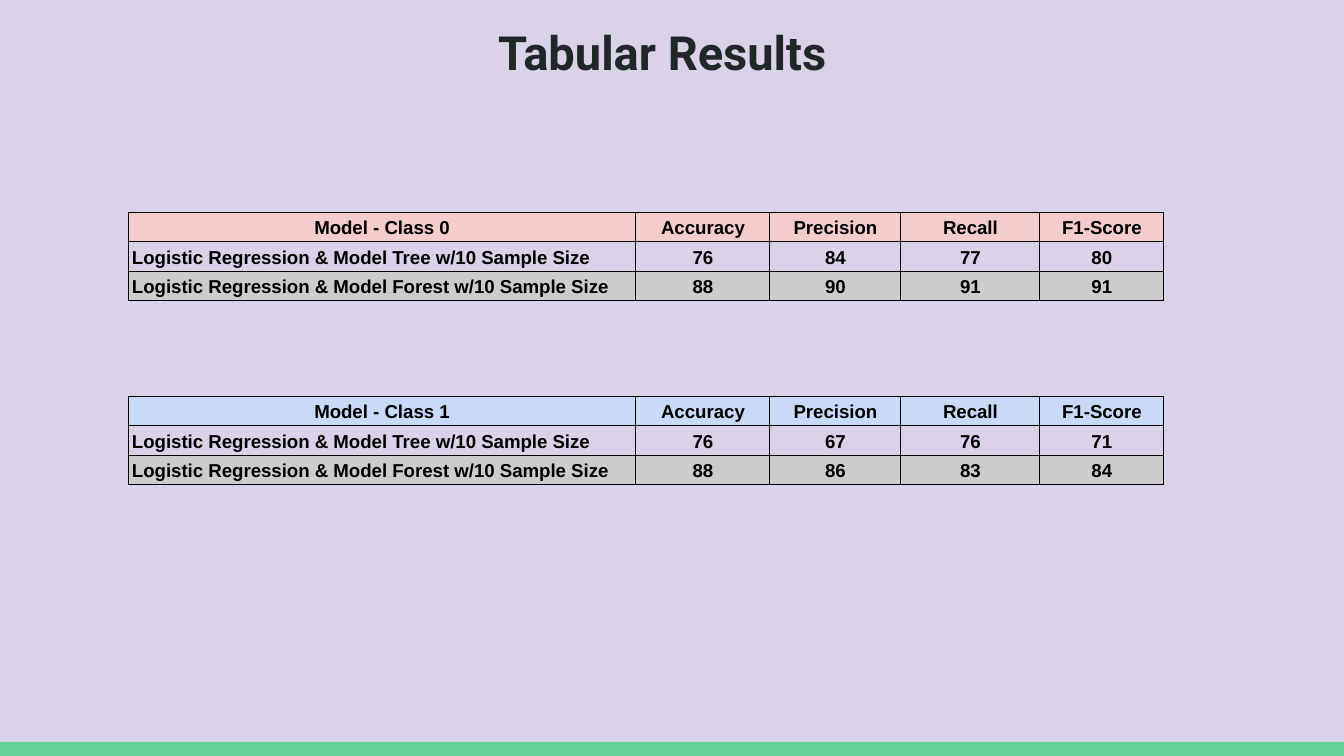
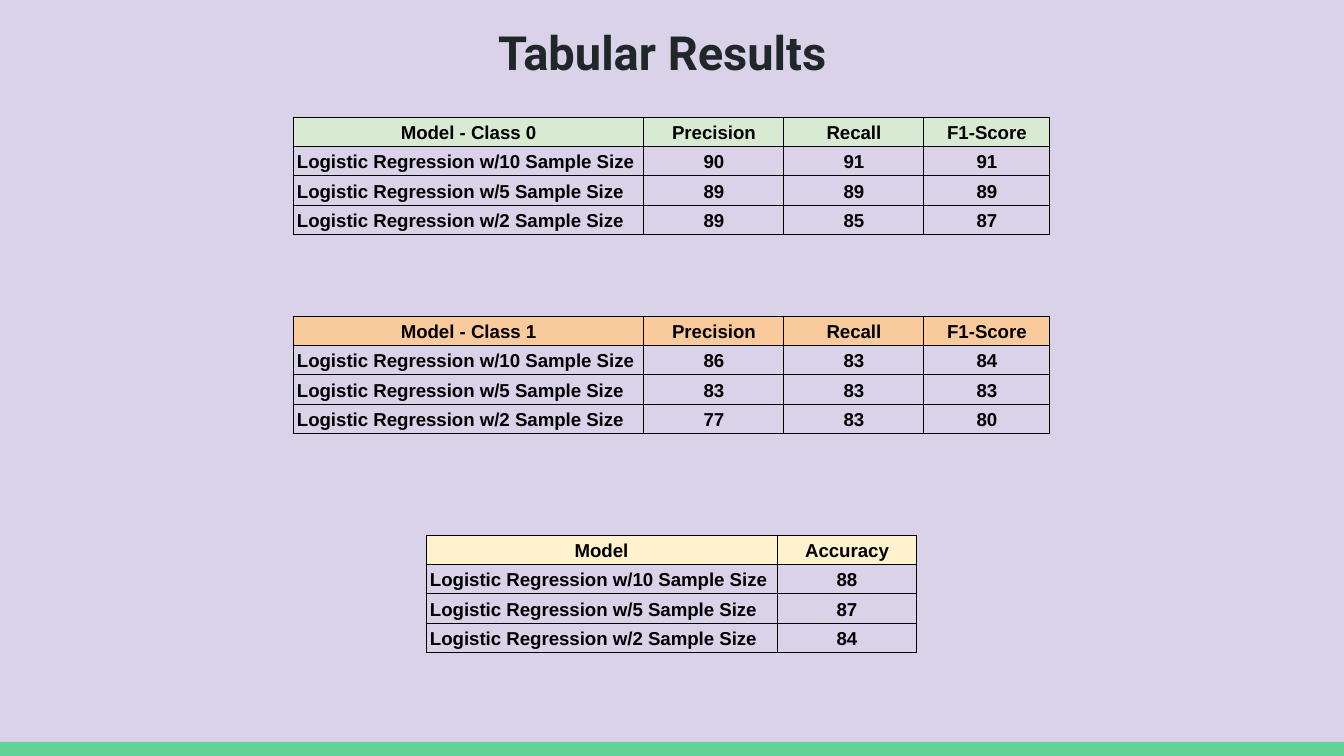
import dataclasses

import lxml.etree
import pptx
import pptx.dml.color
import pptx.enum.shapes
import pptx.enum.text
import pptx.oxml.ns
import pptx.presentation
import pptx.slide
import pptx.table
import pptx.text.text
import pptx.util

EMU_PER_PX = 914400 / 134.4
SLIDE_WIDTH, SLIDE_HEIGHT = 1344, 756
BAND_HEIGHT = 14
TITLE_BOX = (485, 9, 372, 85)
TITLE_INSET = 13

BACKGROUND = "D9D2E9"
BAND = "63D297"
TITLE_COLOR = "202729"
INK = "000000"
HIGHLIGHT = "CCCCCC"

LEFT = pptx.enum.text.PP_ALIGN.LEFT
CENTER = pptx.enum.text.PP_ALIGN.CENTER
MIDDLE = pptx.enum.text.MSO_ANCHOR.MIDDLE
BOTTOM = pptx.enum.text.MSO_ANCHOR.BOTTOM

MODEL_WIDTHS = (508, 134, 131, 139, 124)
SAMPLE_WIDTHS = (351, 140, 140, 126)
SCORES = ("Precision", "Recall", "F1-Score")
MODEL_LABELS = tuple(
    f"Logistic Regression & Model {model} w/10 Sample Size" for model in ("Tree", "Forest")
)
SAMPLE_LABELS = tuple(f"Logistic Regression w/{size} Sample Size" for size in (10, 5, 2))


@dataclasses.dataclass(frozen=True)
class ResultTable:
    left: int
    top: int
    height: int
    widths: tuple[int, ...]
    header_fill: str
    headers: tuple[str, ...]
    labels: tuple[str, ...]
    values: tuple[tuple[int, ...], ...]
    highlighted_row: int | None = None


MODEL_TABLES = (
    ResultTable(128, 212, 89, MODEL_WIDTHS, "F4CCCC",
                ("Model - Class 0", "Accuracy", *SCORES), MODEL_LABELS,
                ((76, 84, 77, 80), (88, 90, 91, 91)), highlighted_row=2),
    ResultTable(128, 396, 89, MODEL_WIDTHS, "C9DAF8",
                ("Model - Class 1", "Accuracy", *SCORES), MODEL_LABELS,
                ((76, 67, 76, 71), (88, 86, 83, 84)), highlighted_row=2),
)
SAMPLE_TABLES = (
    ResultTable(293, 117, 118, SAMPLE_WIDTHS, "D9EAD3",
                ("Model - Class 0", *SCORES), SAMPLE_LABELS,
                ((90, 91, 91), (89, 89, 89), (89, 85, 87))),
    ResultTable(293, 316, 118, SAMPLE_WIDTHS, "F9CB9C",
                ("Model - Class 1", *SCORES), SAMPLE_LABELS,
                ((86, 83, 84), (83, 83, 83), (77, 83, 80))),
    ResultTable(426, 535, 118, SAMPLE_WIDTHS[:2], "FFF2CC",
                ("Model", "Accuracy"), SAMPLE_LABELS,
                ((88,), (87,), (84,))),
)


def px(length: float) -> pptx.util.Emu:
    return pptx.util.Emu(round(length * EMU_PER_PX))


def color(value: str) -> pptx.dml.color.RGBColor:
    return pptx.dml.color.RGBColor.from_string(value)


def write_text(frame: pptx.text.text.TextFrame, text: str, *, font: str, size: float,
               ink: str, align: pptx.enum.text.PP_ALIGN, spacing: float = 1.0) -> None:
    paragraph = frame.paragraphs[0]
    paragraph.alignment = align
    paragraph.line_spacing = spacing
    run = paragraph.add_run()
    run.text = text
    run.font.name = font
    run.font.size = pptx.util.Pt(size)
    run.font.bold = True
    run.font.color.rgb = color(ink)


def add_borders(cell: pptx.table._Cell) -> None:
    properties = cell._tc.get_or_add_tcPr()
    for side in ("a:lnL", "a:lnR", "a:lnT", "a:lnB"):
        line = lxml.etree.SubElement(
            properties, pptx.oxml.ns.qn(side), w=str(pptx.util.Pt(0.6)))
        fill = lxml.etree.SubElement(line, pptx.oxml.ns.qn("a:solidFill"))
        lxml.etree.SubElement(fill, pptx.oxml.ns.qn("a:srgbClr"), val=INK)


def format_cell(cell: pptx.table._Cell, text: str, fill: str | None,
                align: pptx.enum.text.PP_ALIGN) -> None:
    cell.margin_left = cell.margin_right = px(4)
    cell.margin_top, cell.margin_bottom = px(2), px(3)
    cell.vertical_anchor = BOTTOM
    add_borders(cell)
    if fill is None:
        cell.fill.background()
    else:
        cell.fill.solid()
        cell.fill.fore_color.rgb = color(fill)
    write_text(cell.text_frame, text, font="Arial", size=10, ink=INK,
               align=align, spacing=1.15)


def add_result_table(slide: pptx.slide.Slide, result: ResultTable) -> None:
    rows = [result.headers]
    rows += [(label, *map(str, values)) for label, values in zip(result.labels, result.values)]
    table = slide.shapes.add_table(
        len(rows), len(result.widths), px(result.left), px(result.top),
        px(sum(result.widths)), px(result.height)).table
    table.first_row = table.horz_banding = False
    for column, width in zip(table.columns, result.widths):
        column.width = px(width)
    fills = {0: result.header_fill, result.highlighted_row: HIGHLIGHT}
    for row_index, texts in enumerate(rows):
        table.rows[row_index].height = px(result.height / len(rows))
        for column_index, text in enumerate(texts):
            align = LEFT if row_index and not column_index else CENTER
            format_cell(table.cell(row_index, column_index), text, fills.get(row_index), align)


def add_band(slide: pptx.slide.Slide) -> None:
    band = slide.shapes.add_shape(
        pptx.enum.shapes.MSO_SHAPE.RECTANGLE, 0, px(SLIDE_HEIGHT - BAND_HEIGHT),
        px(SLIDE_WIDTH), px(BAND_HEIGHT))
    band.shadow.inherit = False
    band.fill.solid()
    band.fill.fore_color.rgb = color(BAND)
    band.line.fill.background()


def add_title(slide: pptx.slide.Slide, text: str) -> None:
    title = slide.shapes.title
    title.left, title.top, title.width, title.height = map(px, TITLE_BOX)
    frame = title.text_frame
    frame.auto_size = pptx.enum.text.MSO_AUTO_SIZE.NONE
    frame.word_wrap = True
    frame.vertical_anchor = MIDDLE
    frame.margin_left = frame.margin_right = px(TITLE_INSET)
    frame.margin_top = frame.margin_bottom = px(TITLE_INSET)
    write_text(frame, text, font="Roboto", size=25.2, ink=TITLE_COLOR, align=LEFT)


def add_results_slide(presentation: pptx.presentation.Presentation,
                      results: tuple[ResultTable, ...]) -> None:
    slide = presentation.slides.add_slide(presentation.slide_layouts.get_by_name("Title Only"))
    slide.background.fill.solid()
    slide.background.fill.fore_color.rgb = color(BACKGROUND)
    add_band(slide)
    add_title(slide, "Tabular Results")
    for result in results:
        add_result_table(slide, result)


def main() -> None:
    presentation = pptx.Presentation()
    presentation.slide_width = px(SLIDE_WIDTH)
    presentation.slide_height = px(SLIDE_HEIGHT)
    for results in (MODEL_TABLES, SAMPLE_TABLES):
        add_results_slide(presentation, results)
    presentation.save("out.pptx")


if __name__ == "__main__":
    main()
